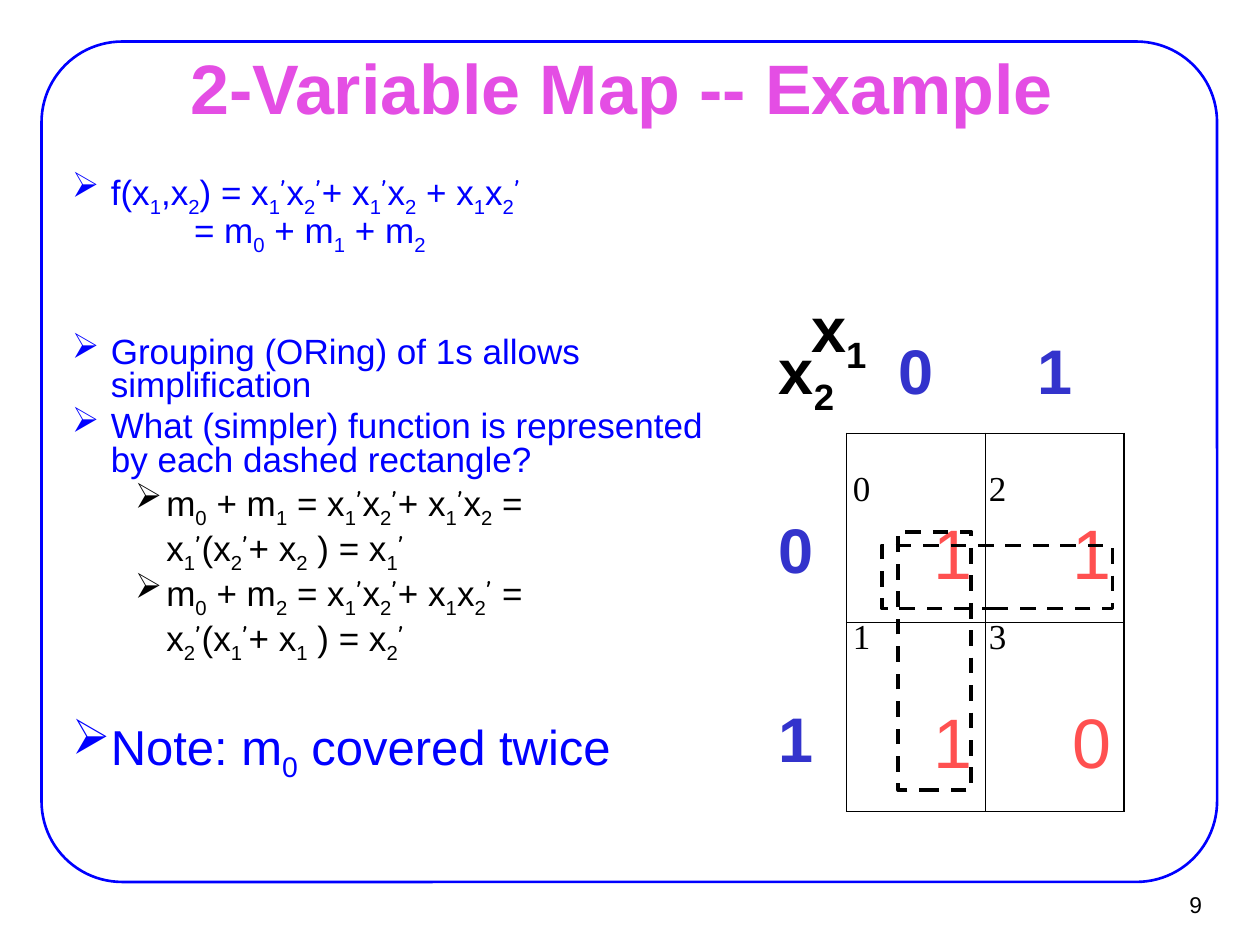
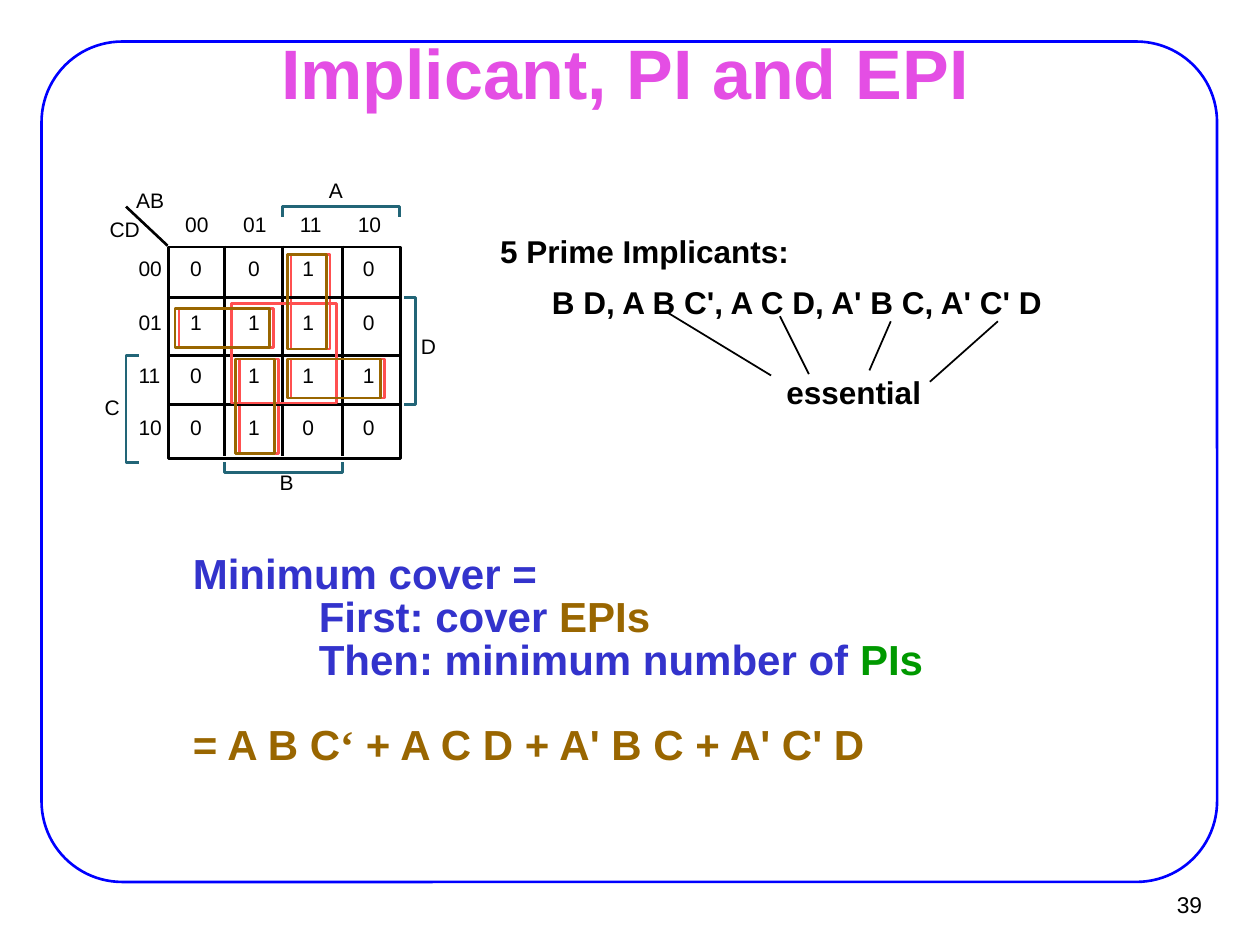
from itertools import groupby
from typing import Iterator, NamedTuple

from lxml.etree import SubElement
from pptx import Presentation
from pptx.dml.color import RGBColor
from pptx.enum.dml import MSO_LINE
from pptx.enum.shapes import MSO_CONNECTOR, MSO_SHAPE
from pptx.enum.text import MSO_ANCHOR, MSO_AUTO_SIZE, PP_ALIGN
from pptx.oxml import parse_xml
from pptx.oxml.ns import nsdecls, qn
from pptx.util import Emu, Pt

PX = 9144  # 100 px to the inch
COLORS = {
    "black": "000000", "blue": "0000FF", "pink": "E44EE4", "indigo": "3333CC",
    "red": "FF5050", "brown": "996600", "green": "009900", "teal": "226577",
}
SANS, SERIF, PRIME = "Arial", "Times New Roman", "Comic Neue"
PLAIN_TABLE = "{2D5ABB26-0587-4C30-8999-92F81FD0307C}"


class Box(NamedTuple):
    x: int
    y: int
    w: int
    h: int

    def emu(self) -> tuple[Emu, ...]:
        return tuple(px(v) for v in self)


class Style(NamedTuple):
    size: int
    color: str = "black"
    bold: bool = False
    font: str = SANS


class Label(NamedTuple):
    text: str
    box: Box


class Line(NamedTuple):
    text: str
    style: Style
    margin: int
    hang: int = 0
    before: int = 4


class Bracket(NamedTuple):
    points: list[tuple[int, int]]


def px(n: int) -> Emu:
    return Emu(n * PX)


def rgb(name: str) -> RGBColor:
    return RGBColor.from_string(COLORS[name])


def add_run(p, text: str, style: Style, sub: bool = False) -> None:
    r = p.add_run()
    r.text = text
    r.font.size, r.font.bold, r.font.name = Pt(style.size), style.bold, style.font
    r.font.color.rgb = rgb(style.color)
    if sub:
        r._r.get_or_add_rPr().set("baseline", "-25000")


def marked_chars(text: str) -> Iterator[tuple[bool, str, str]]:
    """Yield (subscript, font or empty, character); "_" lowers the next one."""
    sub = False
    for ch in text:
        if ch == "_":
            sub = True
            continue
        yield sub, PRIME if ch == "’" else "", ch
        sub = False


def add_formula(p, text: str, style: Style) -> None:
    for (sub, font), chars in groupby(marked_chars(text), key=lambda c: c[:2]):
        run_style = style._replace(font=font or style.font)
        add_run(p, "".join(c[2] for c in chars), run_style, sub)


def set_frame(tf, inset_x: int = 0, inset_y: int = 0, anchor=MSO_ANCHOR.TOP) -> None:
    tf.word_wrap, tf.auto_size, tf.vertical_anchor = True, MSO_AUTO_SIZE.NONE, anchor
    tf.margin_left = tf.margin_right = px(inset_x)
    tf.margin_top = tf.margin_bottom = px(inset_y)


def add_text(s, label: Label, style: Style, inset_x: int = 0, inset_y: int = 0,
             spacing: float = 1.0) -> None:
    tf = s.shapes.add_textbox(*label.box.emu()).text_frame
    set_frame(tf, inset_x, inset_y)
    tf.paragraphs[0].line_spacing = spacing
    add_formula(tf.paragraphs[0], label.text, style)


def outline(sp, color: str, width: float) -> None:
    sp.shadow.inherit = False
    sp.fill.background()
    sp.line.color.rgb, sp.line.width = rgb(color), Pt(width)


def add_outline(s, box: Box, color: str, width: float = 1.5, shape=MSO_SHAPE.RECTANGLE):
    sp = s.shapes.add_shape(shape, *box.emu())
    outline(sp, color, width)
    return sp


def add_line(s, x1: int, y1: int, x2: int, y2: int, width: float = 1.5) -> None:
    c = s.shapes.add_connector(MSO_CONNECTOR.STRAIGHT, px(x1), px(y1), px(x2), px(y2))
    c.line.color.rgb, c.line.width = rgb("black"), Pt(width)
    SubElement(c._element.spPr, qn("a:effectLst"))


def add_bracket(s, bracket: Bracket) -> None:
    (x, y), *rest = bracket.points
    builder = s.shapes.build_freeform(x, y, scale=PX)
    builder.add_line_segments(rest, close=False)
    outline(builder.convert_to_shape(), "teal", 1.5)


def start_slide(prs, title: str, title_box: Box, number: str):
    """Add a slide with the shared frame, title and page number."""
    s = prs.slides.add_slide(prs.slide_layouts[5])
    frame = add_outline(s, Box(33, 33, 933, 667), "blue", 1.5, MSO_SHAPE.ROUNDED_RECTANGLE)
    frame.adjustments[0] = 0.096
    t = s.shapes.title
    t.left, t.top, t.width, t.height = title_box.emu()
    set_frame(t.text_frame, anchor=MSO_ANCHOR.MIDDLE)
    t.text_frame.paragraphs[0].alignment = PP_ALIGN.CENTER
    add_run(t.text_frame.paragraphs[0], title, Style(40, "pink", True))
    tf = s.shapes.add_textbox(*Box(902, 699, 61, 37).emu()).text_frame
    set_frame(tf, 9, 4, MSO_ANCHOR.MIDDLE)
    tf.paragraphs[0].alignment = PP_ALIGN.RIGHT
    add_run(tf.paragraphs[0], number, Style(13))
    return s


def add_lines(s, box: Box, lines: list[Line]) -> None:
    """Write the bulleted text; a line with a hang gets a bullet."""
    tf = s.shapes.add_textbox(*box.emu()).text_frame
    set_frame(tf, 11, 6)
    for i, line in enumerate(lines):
        p = tf.add_paragraph() if i else tf.paragraphs[0]
        p.line_spacing, p.space_before = 0.8, Pt(line.before)
        pPr = p._p.get_or_add_pPr()
        pPr.set("marL", str(px(line.margin)))
        pPr.set("indent", str(-px(line.hang)))
        if line.hang:
            SubElement(pPr, qn("a:buChar")).set("char", "➢")
        add_formula(p, line.text, line.style)


def set_borders(cell) -> None:
    tcPr = cell._tc.get_or_add_tcPr()
    for i, side in enumerate("LRTB"):
        tcPr.insert(i, parse_xml(
            f'<a:ln{side} {nsdecls("a")} w="12700"><a:solidFill>'
            f'<a:srgbClr val="{COLORS["black"]}"/></a:solidFill></a:ln{side}>'))


def add_map_table(s, box: Box, cols: list[int], rows: list[int], values: list[str]) -> None:
    table = s.shapes.add_table(len(rows), len(cols), *box.emu()).table
    table.first_row = table.horz_banding = False
    table._tbl.tblPr.find(qn("a:tableStyleId")).text = PLAIN_TABLE
    for col, width in zip(table.columns, cols):
        col.width = px(width)
    for i, (row, height) in enumerate(zip(table.rows, rows)):
        row.height = px(height)
        for j, (cell, text) in enumerate(zip(row.cells, values[i].split())):
            cell.fill.background()
            cell.margin_left = cell.margin_right = px(10)
            cell.margin_top, cell.margin_bottom = px(66), px(5)
            p = cell.text_frame.paragraphs[0]
            is_value, is_corner = i > 0 and j > 0, i == j == 0
            p.alignment = PP_ALIGN.RIGHT if is_value or is_corner else PP_ALIGN.CENTER
            if is_value:
                set_borders(cell)
                add_run(p, text, Style(40, "red"))
            else:
                add_formula(p, text, Style(36, "black" if is_corner else "indigo", True))


def build_two_variable_map(prs) -> None:
    s = start_slide(prs, "2-Variable Map -- Example ", Box(76, 44, 850, 49), "9")
    main, detail = Style(20, "blue"), Style(20)
    add_lines(s, Box(-4, 133, 591, 508), [
        Line("f(x_1,x_2) = x_1’x_2’+ x_1’x_2 + x_1x_2’", main, 81, 31),
        Line("= m_0 + m_1 + m_2", main, 147, before=0),
        Line("Grouping (ORing) of 1s allows simplification", main, 81, 31, 49),
        Line("What (simpler) function is represented by each dashed rectangle?", main, 81, 31),
        Line("m_0 + m_1 = x_1’x_2’+ x_1’x_2 =", detail, 125, 25),
        Line("x_1’(x_2’+ x_2 ) = x_1’", detail, 125),
        Line("m_0 + m_2 = x_1’x_2’+ x_1x_2’ =", detail, 125, 25),
        Line("x_2’(x_1’+ x_1 ) = x_2’", detail, 125),
        Line("Note: m_0 covered twice", Style(28, "blue"), 81, 31, 36),
    ])
    add_map_table(s, Box(592, 202, 300, 442), [80, 110, 110], [142, 150, 150],
                  ["x_2 0 1", "0 1 1", "1 1 0"])
    add_text(s, Label("x_1", Box(634, 225, 80, 70)), Style(36, bold=True), 10, 5)
    for i, minterm in enumerate("0213"):
        box = Box(667 + i % 2 * 108, 365 + i // 2 * 118, 40, 43)
        add_text(s, Label(minterm, box), Style(20, font=SERIF), 10, 5)
    for group in (Box(713, 422, 58, 205), Box(700, 433, 183, 50)):
        add_outline(s, group, "black", 2.25).line.dash_style = MSO_LINE.DASH


def add_karnaugh_map(s) -> None:
    small = Style(12)
    row_tops = [203, 246, 288, 329]
    add_outline(s, Box(134, 196, 184, 168), "black")
    for y in (236, 282, 321):
        add_line(s, 133, y, 317, y)
    for x in (178, 224, 272):
        add_line(s, x, 195, x, 362)
    add_line(s, 133, 195, 100, 164)
    codes = ["00", "01", "11", "10"]
    labels = [Label(c, Box(147 + round(i * 45.7), 168, 23, 20)) for i, c in enumerate(codes)]
    labels += [Label(c, Box(110, y, 23, 20)) for c, y in zip(codes, row_tops)]
    for y, values in zip(row_tops, ("0010", "1110", "0111", "0100")):
        labels += [Label(v, Box(x, y, 14, 20)) for x, v in zip((151, 197, 240, 288), values)]
    names = [("AB", 108, 149), ("CD", 87, 172), ("A", 261, 141),
             ("B", 222, 373), ("C", 83, 313), ("D", 334, 265)]
    labels += [Label(name, Box(x, y, 29, 20)) for name, x, y in names]
    for label in labels:
        add_text(s, label, small)
    for bracket in (
        Bracket([(224, 172), (224, 164), (317, 164), (317, 172)]),
        Bracket([(110, 367), (100, 367), (100, 282), (110, 282)]),
        Bracket([(272, 367), (272, 375), (178, 375), (178, 367)]),
        Bracket([(321, 236), (330, 236), (330, 321), (321, 321)]),
    ):
        add_bracket(s, bracket)


def build_implicants(prs) -> None:
    s = start_slide(prs, "Implicant, PI and EPI", Box(216, 21, 560, 72), "39")
    for label in (
        Label("5 Prime Implicants:", Box(390, 186, 253, 31)),
        Label("B D, A B C', A C D, A' B C, A' C' D", Box(431, 226, 418, 31)),
        Label("essential", Box(617, 298, 131, 31)),
    ):
        add_text(s, label, Style(18, bold=True), 7, 3, 0.85)
    for ends in ((528, 247, 612, 298), (619, 251, 642, 297),
                 (707, 255, 690, 294), (792, 255, 738, 303)):
        add_line(s, *ends, width=1)

    essentials = [Box(142, 245, 75, 31), Box(231, 285, 74, 31),
                  Box(190, 285, 31, 75), Box(231, 202, 31, 75)]
    for box in essentials:
        add_outline(s, box, "red")
    add_karnaugh_map(s)
    add_outline(s, Box(184, 241, 83, 79), "red")
    for box in essentials:
        add_outline(s, box._replace(x=box.x - 3), "brown")

    cover = Style(24, "indigo", True)
    epi, pi = cover._replace(color="brown"), cover._replace(color="green")
    lines = [
        (0, 0, [("Minimum cover =", cover)]),
        (100, 0, [("First: cover ", cover), ("EPIs", epi)]),
        (100, 0, [("Then: minimum number of ", cover), ("PIs", pi)]),
        (0, 24, [("= A B C", epi), ("‘", epi._replace(font=SERIF)),
                 (" + A C D + A' B C + A' C' D", epi)]),
    ]
    tf = s.shapes.add_textbox(*Box(146, 438, 771, 176).emu()).text_frame
    set_frame(tf, 7, 3)
    for i, (margin, before, runs) in enumerate(lines):
        p = tf.add_paragraph() if i else tf.paragraphs[0]
        p.line_spacing, p.space_before = 0.85, Pt(before)
        p._p.get_or_add_pPr().set("marL", str(px(margin)))
        for text, style in runs:
            add_run(p, text, style)


def main() -> None:
    prs = Presentation()
    prs.slide_width, prs.slide_height = px(1000), px(750)
    build_two_variable_map(prs)
    build_implicants(prs)
    prs.save("out.pptx")


if __name__ == "__main__":
    main()
